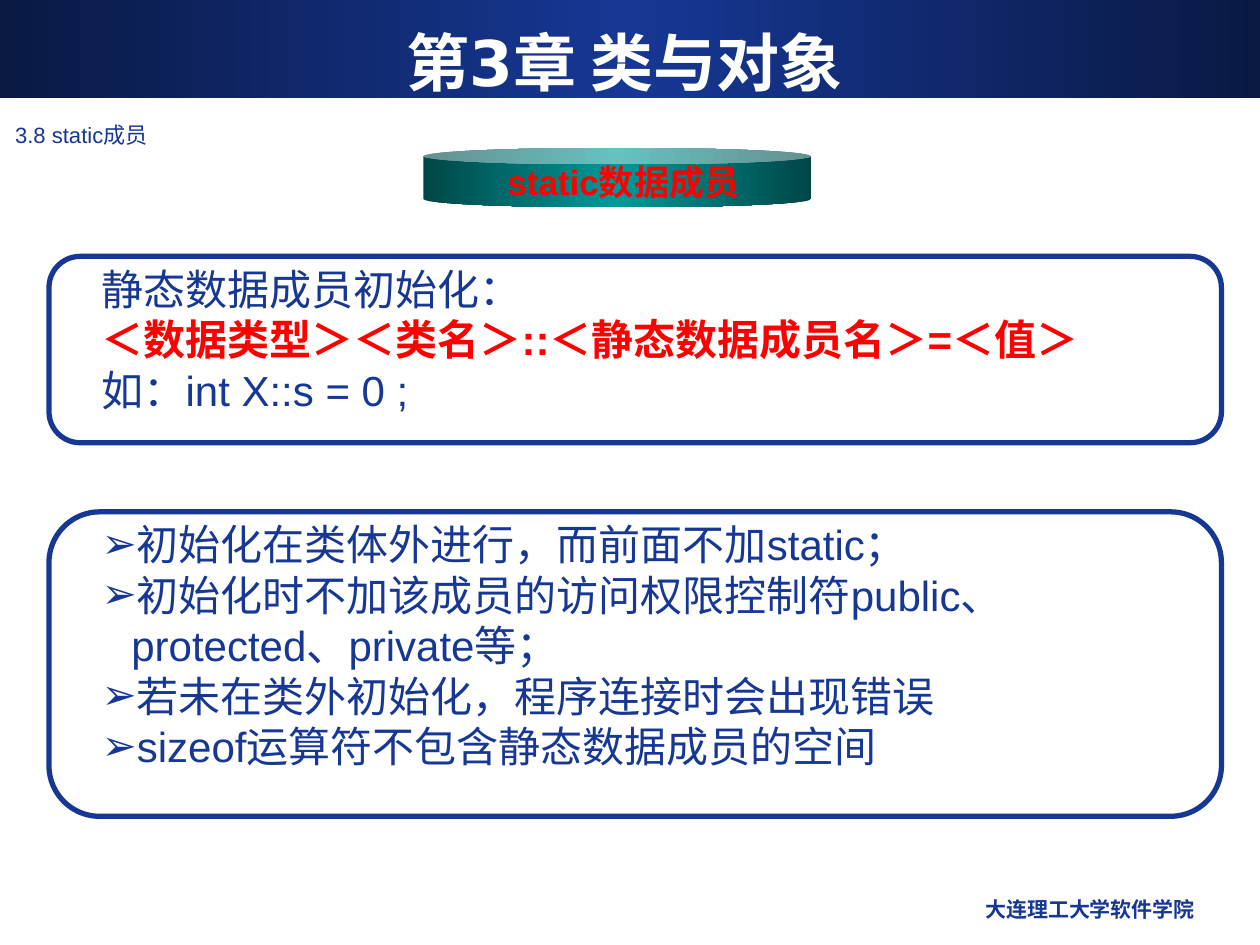
import copy

import pptx
import pptx.dml.color
import pptx.enum.shapes
import pptx.enum.text
import pptx.oxml.ns
import pptx.util
from lxml import etree

Pt = pptx.util.Pt
RGBColor = pptx.dml.color.RGBColor
SHAPE = pptx.enum.shapes.MSO_SHAPE
ALIGN = pptx.enum.text.PP_ALIGN
ANCHOR = pptx.enum.text.MSO_ANCHOR
qn = pptx.oxml.ns.qn

NAVY = RGBColor(0x16, 0x37, 0x94)
DARK_NAVY = RGBColor(0x0A, 0x19, 0x44)
TEAL = RGBColor(0x00, 0x99, 0x99)
DARK_TEAL = RGBColor(0x00, 0x47, 0x47)
RED = RGBColor(0xFF, 0x00, 0x00)
WHITE = RGBColor(0xFF, 0xFF, 0xFF)

BULLET = "➢"
HANGING = 17
PANEL_LEFT, PANEL_WIDTH = 28, 670
TEXT_LEFT, TEXT_WIDTH = 51, 652

TITLE = "第3章 类与对象"
SECTION = "3.8 static成员"
TOPIC = "static数据成员"
SCHOOL = "大连理工大学软件学院"

# Each line is its text, colour and boldness.
PANELS = [
    {"top": 146.5, "height": 106.5, "bulleted": False, "lines": [
        ("静态数据成员初始化：", NAVY, False),
        ("＜数据类型＞＜类名＞::＜静态数据成员名＞=＜值＞", RED, True),
        ("如：int X::s = 0 ;", NAVY, False),
    ]},
    {"top": 292.5, "height": 174, "bulleted": True, "lines": [
        ("初始化在类体外进行，而前面不加static；", NAVY, False),
        ("初始化时不加该成员的访问权限控制符public、protected、private等；", NAVY, False),
        ("若未在类外初始化，程序连接时会出现错误", NAVY, False),
        ("sizeof运算符不包含静态数据成员的空间", NAVY, False),
    ]},
]


def place(shape, left, top, width, height):
    shape.left, shape.top = Pt(left), Pt(top)
    shape.width, shape.height = Pt(width), Pt(height)


def add_shape(slide, kind, left, top, width, height):
    shape = slide.shapes.add_shape(kind, Pt(left), Pt(top), Pt(width), Pt(height))
    shape.shadow.inherit = False
    return shape


def fill_gradient(shape, edge, middle):
    """Fill from edge colour to middle colour and back, left to right."""
    shape.line.fill.background()
    shape.fill.gradient()
    shape.fill.gradient_angle = 0
    stop_list = shape.element.spPr.find(qn("a:gradFill")).find(qn("a:gsLst"))
    stop_list.insert(1, copy.deepcopy(stop_list[0]))
    stops = shape.fill.gradient_stops
    for stop, position, color in zip(stops, (0, 0.5, 1), (edge, middle, edge)):
        stop.position = position
        stop.color.rgb = color


def add_bullet(para):
    properties = para._p.get_or_add_pPr()
    properties.set("marL", str(Pt(HANGING)))
    properties.set("indent", str(-Pt(HANGING)))
    color = etree.SubElement(properties, qn("a:buClr"))
    etree.SubElement(color, qn("a:srgbClr"), val=str(NAVY))
    etree.SubElement(properties, qn("a:buFont"), typeface="Arial")
    etree.SubElement(properties, qn("a:buChar"), char=BULLET)


def format_text(para, size, color, bold=False, font="Arial", align=ALIGN.LEFT):
    para.alignment = align
    for span in para.runs:
        span.font.name, span.font.size = font, Pt(size)
        span.font.bold, span.font.color.rgb = bold, color


def add_text(slide, left, top, width, height, text):
    box = slide.shapes.add_textbox(Pt(left), Pt(top), Pt(width), Pt(height))
    box.text_frame.word_wrap = True
    box.text_frame.text = text
    return box.text_frame


def add_panel(slide, top, height, bulleted, lines):
    panel = add_shape(slide, SHAPE.ROUNDED_RECTANGLE, PANEL_LEFT, top, PANEL_WIDTH, height)
    panel.fill.background()
    panel.line.color.rgb = NAVY
    panel.line.width = Pt(3)
    frame = add_text(slide, TEXT_LEFT, top + 0.5, TEXT_WIDTH, height,
                     "\n".join(text for text, _, _ in lines))
    for para, (_, color, bold) in zip(frame.paragraphs, lines):
        if bulleted:
            add_bullet(para)
        format_text(para, 24, color, bold)


def main():
    deck = pptx.Presentation()
    deck.slide_width, deck.slide_height = Pt(720), Pt(540)
    slide = deck.slides.add_slide(deck.slide_layouts[5])

    band = add_shape(slide, SHAPE.RECTANGLE, 0, 0, 720, 56)
    fill_gradient(band, DARK_NAVY, NAVY)
    title = slide.shapes.title
    title.element.addprevious(band.element)  # the band lies behind the title
    place(title, 24, 12.5, 666, 44.5)
    frame = title.text_frame
    frame.text = TITLE
    frame.auto_size = pptx.enum.text.MSO_AUTO_SIZE.NONE
    frame.vertical_anchor = ANCHOR.MIDDLE
    format_text(frame.paragraphs[0], 36, WHITE, True, "DejaVu Sans", ALIGN.CENTER)

    frame = add_text(slide, 462, 509, 228, 25, SCHOOL)
    format_text(frame.paragraphs[0], 12, NAVY, True, "DejaVu Sans", ALIGN.RIGHT)
    frame = add_text(slide, 1.5, 66, 666, 24, SECTION)
    format_text(frame.paragraphs[0], 12.6, NAVY)

    drum = add_shape(slide, SHAPE.CAN, 242, 84.5, 221.5, 34)
    drum.adjustments[0] = 0.28
    fill_gradient(drum, DARK_TEAL, TEAL)
    frame = drum.text_frame
    frame.text = TOPIC
    frame.word_wrap = False
    frame.margin_left = Pt(14)
    frame.vertical_anchor = ANCHOR.MIDDLE
    format_text(frame.paragraphs[0], 20, RED, True, align=ALIGN.CENTER)

    for panel in PANELS:
        add_panel(slide, **panel)

    deck.save("out.pptx")


if __name__ == "__main__":
    main()
